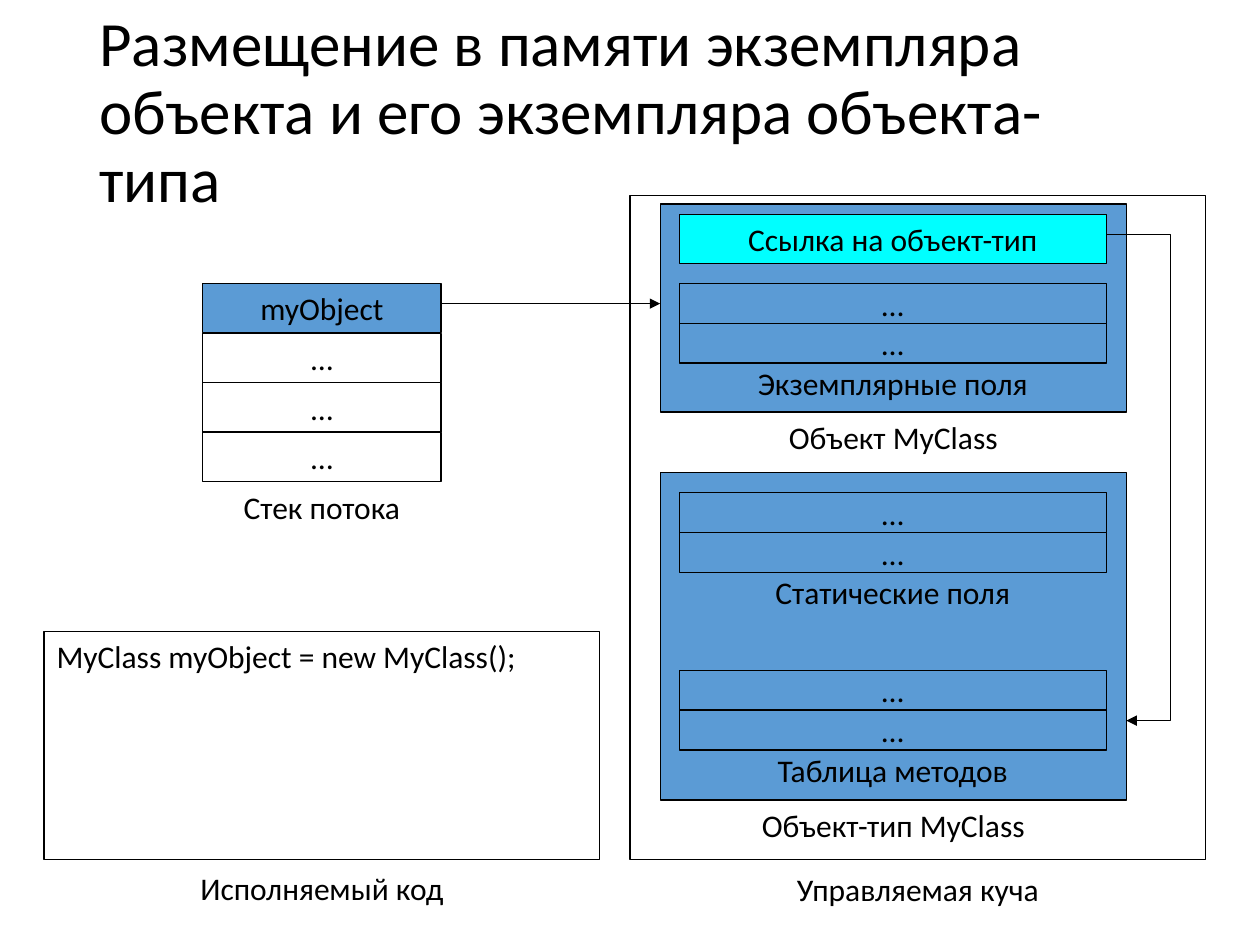
import pptx
import pptx.util
import pptx.dml.color
import pptx.enum.shapes
import pptx.enum.text
import pptx.oxml.ns
import lxml.etree

Inches = pptx.util.Inches
Pt = pptx.util.Pt
ALIGN = pptx.enum.text.PP_ALIGN
ANCHOR = pptx.enum.text.MSO_ANCHOR
qn = pptx.oxml.ns.qn

BLACK = pptx.dml.color.RGBColor(0x00, 0x00, 0x00)
BLUE = pptx.dml.color.RGBColor(0x5B, 0x9B, 0xD5)
CYAN = pptx.dml.color.RGBColor(0x00, 0xFF, 0xFF)

# Content
TITLE = "Размещение в памяти экземпляра объекта и его экземпляра объекта-типа"
STACK = ["myObject", "…", "…", "…"]
STACK_CAPTION = "Стек потока"
CODE = "MyClass myObject = new MyClass();"
CODE_CAPTION = "Исполняемый код"
HEAP_CAPTION = "Управляемая куча"
TYPE_LINK = "Ссылка на объект-тип"
# Heap objects: caption, top, height, field groups (label, top)
OBJECTS = [
    ("Объект MyClass", 1.62, 1.65, [("Экземплярные поля", 2.25)]),
    ("Объект-тип MyClass", 3.75, 2.6,
     [("Статические поля", 3.91), ("Таблица методов", 5.32)]),
]
FIELDS = ["…", "…"]

# Layout
STACK_LEFT, STACK_TOP, STACK_WIDTH = 1.61, 2.25, 1.89
STACK_STEP, ROW_HEIGHT = 0.394, 0.39
HEAP_LEFT, HEAP_TOP, HEAP_WIDTH = 5, 1.55, 4.57
CODE_LEFT, CODE_TOP, CODE_WIDTH = 0.35, 5.01, 4.41
FLOOR = 6.82
OBJECT_LEFT, OBJECT_WIDTH = 5.24, 3.7
FIELD_LEFT, FIELD_WIDTH, FIELD_HEIGHT = 5.39, 3.39, 0.316
LINK_TOP = 1.7
REFERENCE_Y = 2.41
TYPE_ARROW = [(8.78, 1.86), (9.29, 1.86), (9.29, 5.72), (8.94, 5.72)]

deck = pptx.Presentation()
deck.slide_width, deck.slide_height = Inches(10), Inches(7.5)
slide = deck.slides.add_slide(deck.slide_layouts[6])


def write(shape, text, size=18, align=ALIGN.CENTER, anchor=ANCHOR.MIDDLE,
          wrap=False, spacing=None):
    frame = shape.text_frame
    frame.word_wrap = wrap
    frame.vertical_anchor = anchor
    paragraph = frame.paragraphs[0]
    paragraph.alignment = align
    paragraph.line_spacing = spacing
    run = paragraph.add_run()
    run.text = text
    run.font.size = Pt(size)
    run.font.name = "Calibri"
    run.font.color.rgb = BLACK


def caption(left, top, width, height, text, **text_format):
    label = slide.shapes.add_textbox(
        Inches(left), Inches(top), Inches(width), Inches(height))
    write(label, text, **text_format)


def outline(shape):
    shape.line.color.rgb = BLACK
    shape.line.width = Pt(0.75)


def box(left, top, width, height, text=None, fill=None, bordered=True, **text_format):
    rect = slide.shapes.add_shape(
        pptx.enum.shapes.MSO_SHAPE.RECTANGLE,
        Inches(left), Inches(top), Inches(width), Inches(height))
    rect.shadow.inherit = False
    if fill is None:
        rect.fill.background()
    else:
        rect.fill.solid()
        rect.fill.fore_color.rgb = fill
    if bordered:
        outline(rect)
    else:
        rect.line.fill.background()
    if text:
        write(rect, text, **text_format)


def add_arrowhead(shape):
    outline(shape)
    line = shape.line._get_or_add_ln()
    lxml.etree.SubElement(line, qn("a:tailEnd"), type="triangle")


# Title
caption(0.69, 0.4, 8.62, 1.01, TITLE, size=36, align=ALIGN.LEFT, wrap=True, spacing=0.9)

# Thread stack
for row, name in enumerate(STACK):
    box(STACK_LEFT, STACK_TOP + row * STACK_STEP, STACK_WIDTH, ROW_HEIGHT, name,
        fill=BLUE if row == 0 else None)
caption(STACK_LEFT, STACK_TOP + len(STACK) * STACK_STEP, STACK_WIDTH, ROW_HEIGHT,
        STACK_CAPTION)

# Code and heap frames
box(HEAP_LEFT, HEAP_TOP, HEAP_WIDTH, FLOOR - HEAP_TOP)
caption(HEAP_LEFT, FLOOR, HEAP_WIDTH, 0.47, HEAP_CAPTION)
box(CODE_LEFT, CODE_TOP, CODE_WIDTH, FLOOR - CODE_TOP, CODE,
    align=ALIGN.LEFT, anchor=ANCHOR.TOP, wrap=True)
caption(CODE_LEFT, FLOOR, CODE_WIDTH, 0.45, CODE_CAPTION)

# Objects in the heap
for name, top, height, groups in OBJECTS:
    box(OBJECT_LEFT, top, OBJECT_WIDTH, height, fill=BLUE)
    caption(OBJECT_LEFT, top + height, OBJECT_WIDTH, ROW_HEIGHT, name)
    for label, group_top in groups:
        box(FIELD_LEFT, group_top + len(FIELDS) * FIELD_HEIGHT, FIELD_WIDTH, 0.31,
            label, fill=BLUE, bordered=False)
        for row, field in enumerate(FIELDS):
            box(FIELD_LEFT, group_top + row * FIELD_HEIGHT, FIELD_WIDTH, FIELD_HEIGHT,
                field, fill=BLUE)
box(FIELD_LEFT, LINK_TOP, FIELD_WIDTH, ROW_HEIGHT, TYPE_LINK, fill=CYAN)

# Arrow from the stack variable to the object
reference = slide.shapes.add_connector(
    pptx.enum.shapes.MSO_CONNECTOR.STRAIGHT,
    Inches(STACK_LEFT + STACK_WIDTH), Inches(REFERENCE_Y),
    Inches(OBJECT_LEFT), Inches(REFERENCE_Y))
add_arrowhead(reference)
lxml.etree.SubElement(reference._element.spPr, qn("a:effectLst"))

# Arrow from the object to its type object
start, *corners = [(Inches(x), Inches(y)) for x, y in TYPE_ARROW]
builder = slide.shapes.build_freeform(*start)
builder.add_line_segments(corners, close=False)
type_arrow = builder.convert_to_shape()
type_arrow.shadow.inherit = False
type_arrow.fill.background()
add_arrowhead(type_arrow)

deck.save("out.pptx")
